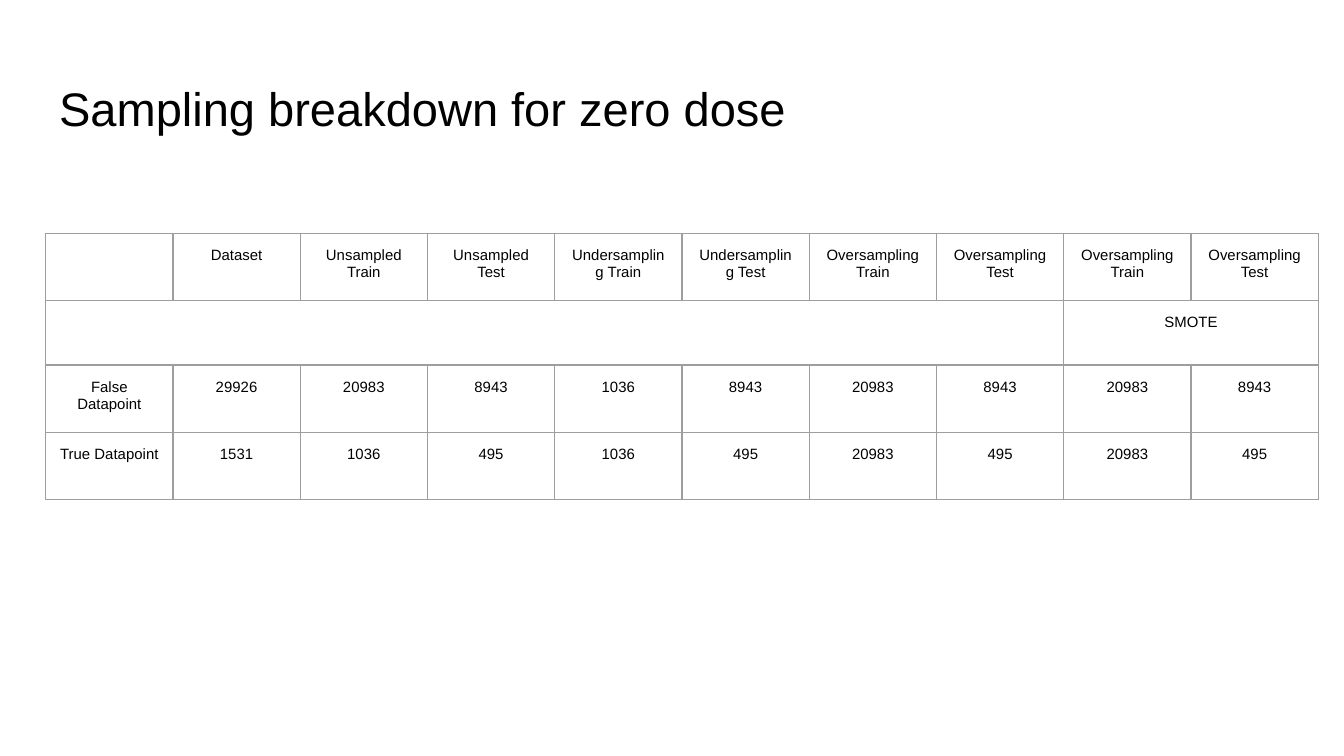
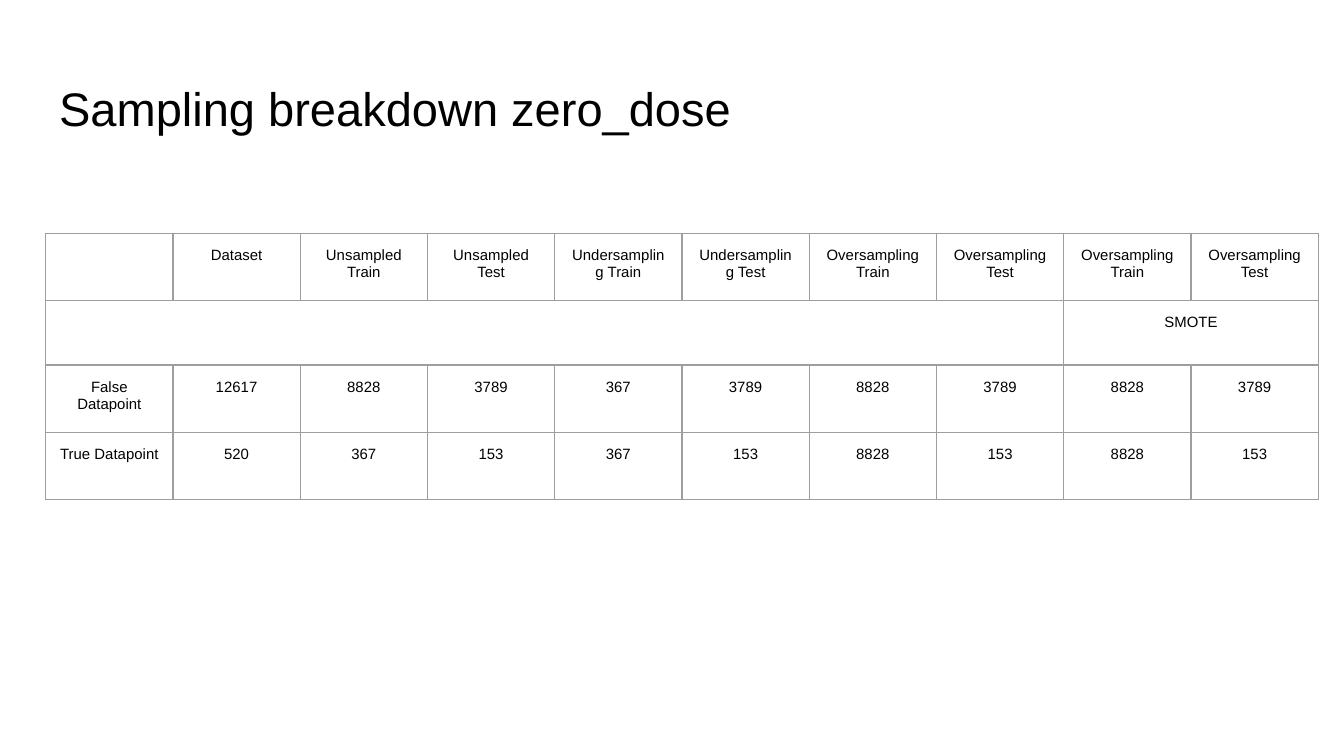
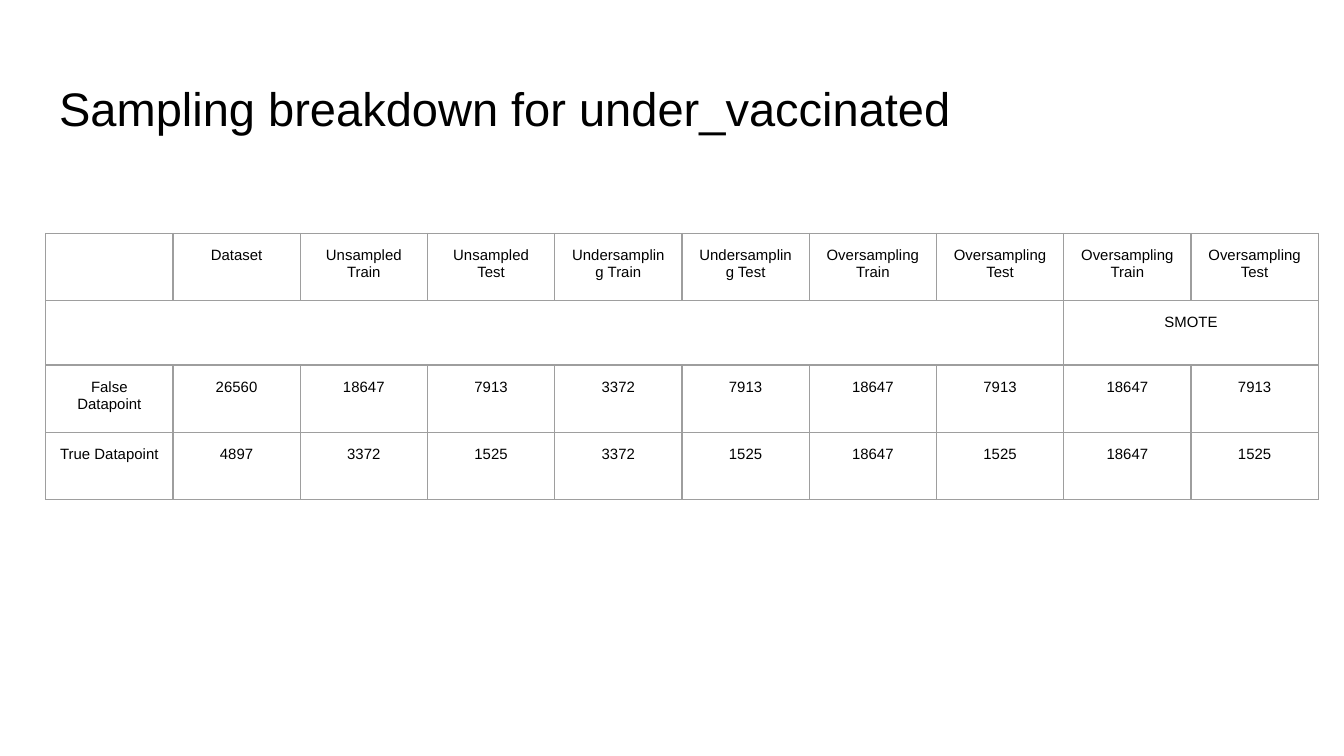
from lxml.etree import SubElement
from pptx import Presentation
from pptx.dml.color import RGBColor
from pptx.enum.text import MSO_ANCHOR, MSO_AUTO_SIZE, PP_ALIGN
from pptx.oxml.ns import qn
from pptx.util import Pt

FONT = "Arial"
BLACK = RGBColor(0x00, 0x00, 0x00)
BORDER_GRAY = RGBColor(0x9E, 0x9E, 0x9E)
BORDER_WIDTH = Pt(0.75)
INSET = Pt(7.2)
LEFT = Pt(24.5)
COLUMN_WIDTH = Pt(68.2)
ROW_HEIGHTS = [Pt(36), Pt(30.3), Pt(36), Pt(36)]
SMOTE_COLUMN = 8

HEADERS = ["", "Dataset"] + [
    f"{sampling} {part}"
    for sampling in ("Unsampled", "Undersampling", "Oversampling", "Oversampling")
    for part in ("Train", "Test")
]

BREAKDOWNS = [
    ("Sampling breakdown for zero dose", (20983, 8943), (1036, 495)),
    ("Sampling breakdown zero_dose", (8828, 3789), (367, 153)),
    ("Sampling breakdown for under_vaccinated", (18647, 7913), (3372, 1525)),
]


def add_run(paragraph, text, size):
    run = paragraph.add_run()
    run.text = text
    run.font.name = FONT
    run.font.size = Pt(size)
    run.font.color.rgb = BLACK


def set_insets(target):
    target.margin_left = target.margin_right = INSET
    target.margin_top = target.margin_bottom = INSET


def set_title(slide, text):
    title = slide.shapes.title
    title.left, title.top, title.width, title.height = LEFT, Pt(35), Pt(671), Pt(45.4)
    frame = title.text_frame
    frame.word_wrap = True
    frame.auto_size = MSO_AUTO_SIZE.NONE
    frame.vertical_anchor = MSO_ANCHOR.MIDDLE
    set_insets(frame)
    paragraph = frame.paragraphs[0]
    paragraph.alignment = PP_ALIGN.LEFT
    add_run(paragraph, text, 25.2)


def set_borders(cell):
    properties = cell._tc.get_or_add_tcPr()
    for position, side in enumerate(("a:lnL", "a:lnR", "a:lnT", "a:lnB")):
        line = SubElement(properties, qn(side), w=str(BORDER_WIDTH))
        fill = SubElement(line, qn("a:solidFill"))
        SubElement(fill, qn("a:srgbClr"), val=str(BORDER_GRAY))
        properties.insert(position, line)


def fill_cell(cell, text):
    set_insets(cell)
    cell.fill.background()
    set_borders(cell)
    paragraph = cell.text_frame.paragraphs[0]
    if text:
        paragraph.alignment = PP_ALIGN.CENTER
        add_run(paragraph, text, 8)
    else:
        ending = SubElement(paragraph._p, qn("a:endParaRPr"), sz="1800")
        SubElement(ending, qn("a:latin"), typeface=FONT)


def table_rows(false_counts, true_counts):
    false_train, false_test = false_counts
    true_train, true_test = true_counts
    smote_row = [""] * len(HEADERS)
    smote_row[SMOTE_COLUMN] = "SMOTE"
    false_row = ["False Datapoint", sum(false_counts)]
    true_row = ["True Datapoint", sum(true_counts)]
    for train in (false_train, true_train, false_train, false_train):
        false_row += [train, false_test]
    for train in (true_train, true_train, false_train, false_train):
        true_row += [train, true_test]
    return [HEADERS, smote_row, false_row, true_row]


def add_breakdown_table(slide, rows):
    column_count = len(HEADERS)
    frame = slide.shapes.add_table(
        len(rows), column_count, LEFT, Pt(125),
        COLUMN_WIDTH * column_count, sum(ROW_HEIGHTS),
    )
    table = frame.table
    table.first_row = False
    table.horz_banding = False
    for column in table.columns:
        column.width = COLUMN_WIDTH
    for row_index, values in enumerate(rows):
        table.rows[row_index].height = ROW_HEIGHTS[row_index]
        for column_index, value in enumerate(values):
            fill_cell(table.cell(row_index, column_index), str(value))
    table.cell(1, 0).merge(table.cell(1, SMOTE_COLUMN - 1))
    table.cell(1, SMOTE_COLUMN).merge(table.cell(1, column_count - 1))


def main():
    presentation = Presentation()
    presentation.slide_width, presentation.slide_height = Pt(720), Pt(405)
    title_only = presentation.slide_layouts.get_by_name("Title Only")
    for title, false_counts, true_counts in BREAKDOWNS:
        slide = presentation.slides.add_slide(title_only)
        set_title(slide, title)
        add_breakdown_table(slide, table_rows(false_counts, true_counts))
    presentation.save("out.pptx")


if __name__ == "__main__":
    main()
